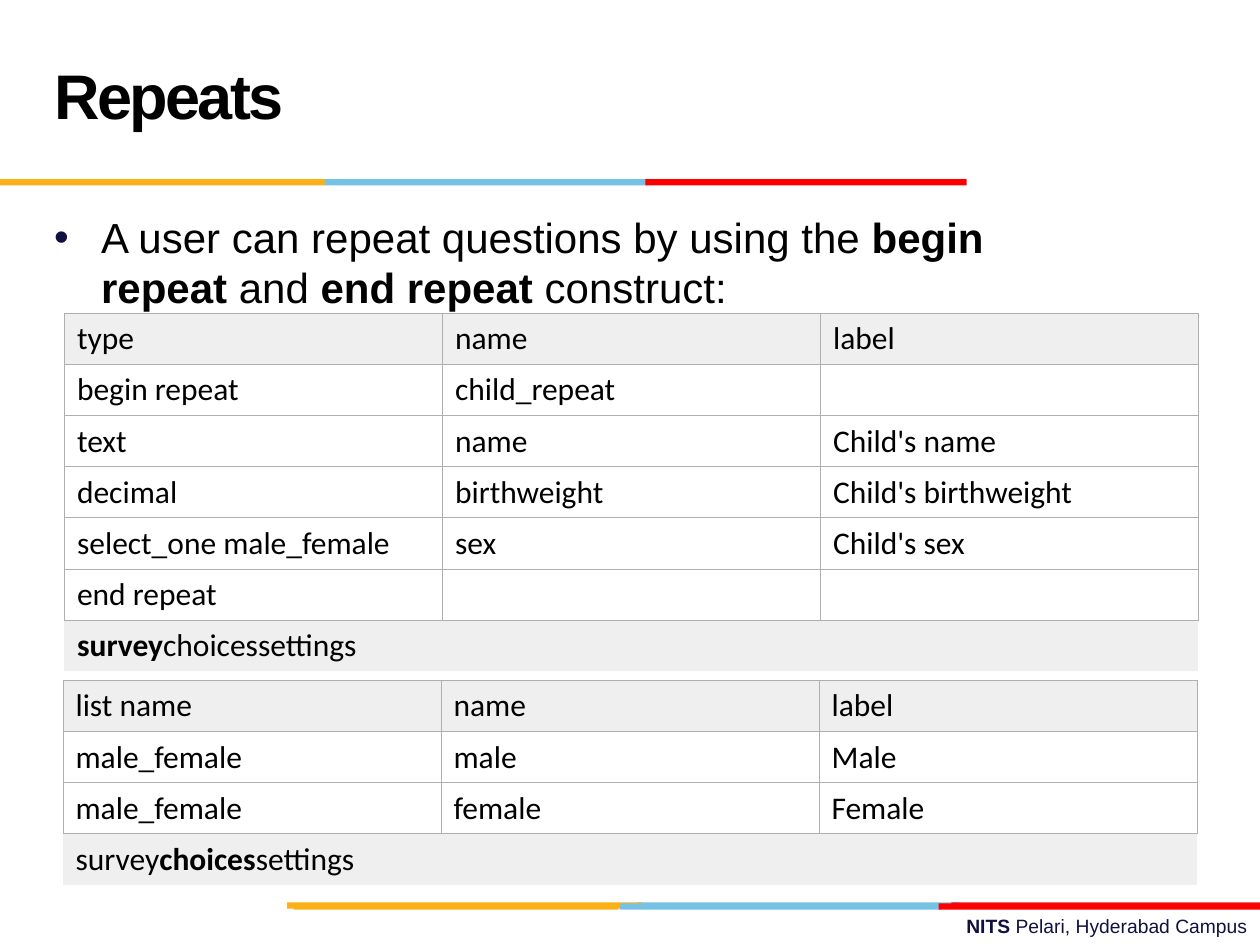
from lxml.etree import SubElement
from pptx import Presentation
from pptx.dml.color import RGBColor
from pptx.enum.shapes import MSO_SHAPE
from pptx.enum.text import MSO_ANCHOR, PP_ALIGN
from pptx.oxml.ns import qn
from pptx.util import Cm, Pt

BLACK = RGBColor(0x00, 0x00, 0x00)
WHITE = RGBColor(0xFF, 0xFF, 0xFF)
NAVY = RGBColor(0x10, 0x11, 0x41)
GOLD = RGBColor(0xFC, 0xB0, 0x17)
SKY = RGBColor(0x76, 0xC2, 0xE5)
RED = RGBColor(0xFF, 0x00, 0x00)
CRIMSON = RGBColor(0xE3, 0x1C, 0x24)
PALE = RGBColor(0xEF, 0xEF, 0xEF)
GRAY = RGBColor(0xAF, 0xAF, 0xAF)

TITLE = {"name": "Arial", "size": Pt(36), "bold": True}
BODY = {"name": "Arial", "size": Pt(24)}
FOOT = {"name": "Arial", "size": Pt(11)}
CELL = {"name": "Calibri", "size": Pt(18)}

# Bar strips: top, then (left, width, colour) of each bar, in cm
STRIPS = [
    (3.61, [(0, 6.55, GOLD), (6.55, 6.48, SKY), (13.01, 6.48, RED)]),
    (18.19, [(12.85, 6.48, SKY), (19.18, 6.22, CRIMSON), (5.79, 7.16, GOLD)]),
    (18.21, [(12.5, 6.48, SKY), (5.92, 6.55, GOLD), (18.92, 6.48, RED)]),
]

# The last row of each table is one merged cell of (text, bold) runs
SURVEY = [
    ["type", "name", "label"],
    ["begin repeat", "child_repeat", ""],
    ["text", "name", "Child's name"],
    ["decimal", "birthweight", "Child's birthweight"],
    ["select_one male_female", "sex", "Child's sex"],
    ["end repeat", "", ""],
]
SURVEY_TABS = [("survey", True), ("choicessettings", False)]
CHOICES = [
    ["list name", "name", "label"],
    ["male_female", "male", "Male"],
    ["male_female", "female", "Female"],
]
CHOICE_TABS = [("survey", False), ("choices", True), ("settings", False)]


def apply(item, values):
    for key, value in values.items():
        setattr(item, key, value)


def add_runs(para, runs, style, color=BLACK):
    for text, bold in runs:
        run = para.add_run()
        run.text = text
        apply(run.font, {**style, "bold": bold})
        run.font.color.rgb = color


def add_strip(slide, top, bars):
    for left, width, color in bars:
        bar = slide.shapes.add_shape(MSO_SHAPE.RECTANGLE, Cm(left), Cm(top),
                                     Cm(width), Cm(0.13))
        bar.shadow.inherit = False
        bar.fill.solid()
        bar.fill.fore_color.rgb = color
        bar.line.fill.background()


def set_title(slide, text):
    title = slide.shapes.title
    apply(title, {"left": Cm(0.84), "top": Cm(0.43),
                  "width": Cm(17.58), "height": Cm(3.18)})
    title.text_frame.vertical_anchor = MSO_ANCHOR.MIDDLE
    para = title.text_frame.paragraphs[0]
    apply(para, {"alignment": PP_ALIGN.LEFT, "line_spacing": Pt(36)})
    add_runs(para, [(text, True)], TITLE)
    para.runs[0].font._element.set("spc", "-150")


def add_text(slide, left, top, width, height, **frame):
    box = slide.shapes.add_textbox(Cm(left), Cm(top), Cm(width), Cm(height))
    apply(box.text_frame, {"word_wrap": True, **frame})
    return box.text_frame.paragraphs[0]


def add_bullet(para, color):
    props = para._p.get_or_add_pPr()
    apply(para, {"space_before": Pt(4.8)})
    props.set("marL", str(Cm(0.95)))
    props.set("indent", str(-Cm(0.95)))
    tint = SubElement(props, qn("a:buClr"))
    SubElement(tint, qn("a:srgbClr"), val=str(color))
    SubElement(props, qn("a:buFont"), typeface="Arial")
    SubElement(props, qn("a:buChar"), char="•")


def set_cell(cell, fill, edges):
    props = cell._tc.get_or_add_tcPr()
    for side in "LRTB":
        line = SubElement(props, qn("a:ln" + side), w=str(Pt(0.6)))
        if side in edges:
            paint = SubElement(line, qn("a:solidFill"))
            SubElement(paint, qn("a:srgbClr"), val=str(GRAY))
        else:
            SubElement(line, qn("a:noFill"))
    cell.vertical_anchor = MSO_ANCHOR.MIDDLE
    cell.fill.solid()
    cell.fill.fore_color.rgb = fill


def add_grid(slide, left, top, rows, tabs):
    count = len(rows) + 1
    high = Cm(1.03)
    table = slide.shapes.add_table(count, 3, Cm(left), Cm(top),
                                   Cm(22.86), high * count).table
    apply(table, {"first_row": False, "horz_banding": False})
    for row in table.rows:
        row.height = high
    for i, row in enumerate(rows):
        for j, text in enumerate(row):
            cell = table.cell(i, j)
            set_cell(cell, WHITE if i else PALE, "LRTB")
            if text:
                add_runs(cell.text_frame.paragraphs[0], [(text, False)], CELL)
    # Sheet tabs below the rows
    last = table.cell(count - 1, 0)
    last.merge(table.cell(count - 1, 2))
    for j in range(3):
        set_cell(table.cell(count - 1, j), PALE, "T")
    add_runs(last.text_frame.paragraphs[0], tabs, CELL)


def main():
    deck = Presentation()
    apply(deck, {"slide_width": Cm(25.4), "slide_height": Cm(19.05)})
    slide = deck.slides.add_slide(deck.slide_layouts[5])

    # Footer and colour strips
    foot = add_text(slide, 9.09, 18.31, 16.31, 0.74)
    foot.alignment = PP_ALIGN.RIGHT
    add_runs(foot, [("NITS ", True), ("Pelari, Hyderabad Campus", False)],
             FOOT, NAVY)
    for top, bars in STRIPS:
        add_strip(slide, top, bars)

    # Title and bullet
    set_title(slide, "Repeats")
    body = add_text(slide, 0.84, 4.14, 22.86, 12.57, margin_right=Cm(2))
    add_bullet(body, NAVY)
    add_runs(body, [("A user can repeat questions by using the ", False),
                    ("begin repeat", True), (" and ", False),
                    ("end repeat", True), (" construct:", False)], BODY)

    # Form tables
    add_grid(slide, 1.3, 6.32, SURVEY, SURVEY_TABS)
    add_grid(slide, 1.27, 13.72, CHOICES, CHOICE_TABS)
    deck.save("out.pptx")


if __name__ == "__main__":
    main()
